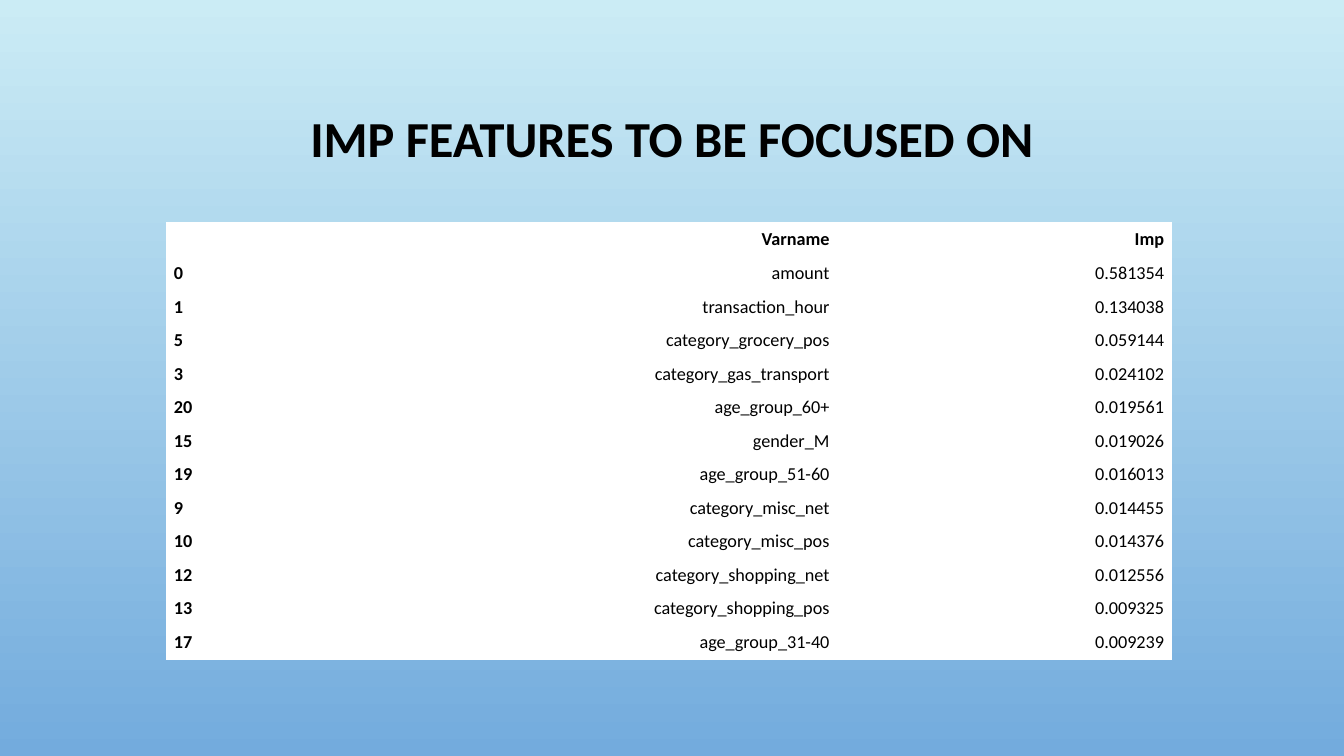
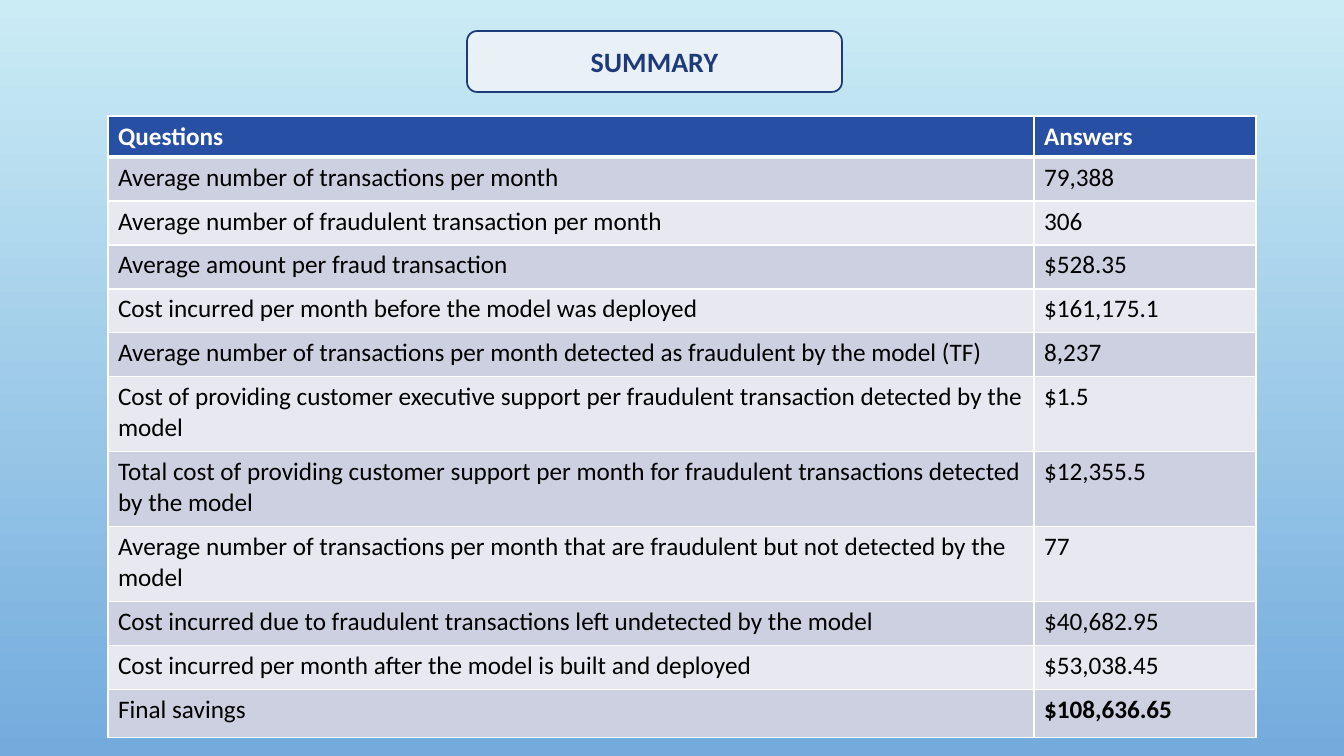
"""Build two slides on fraud features and the savings summary."""
from lxml.etree import SubElement
from pptx import Presentation
from pptx.dml.color import RGBColor
from pptx.enum.shapes import MSO_SHAPE
from pptx.enum.text import MSO_ANCHOR, PP_ALIGN
from pptx.oxml.ns import qn
from pptx.util import Pt

WIDE, HIGH = 1344, 756
SCALE = 12192000 / WIDE
FONT = "Calibri"
BLACK = RGBColor(0x00, 0x00, 0x00)
WHITE = RGBColor(0xFF, 0xFF, 0xFF)
SKY = RGBColor(0xCB, 0xEC, 0xF5)
BLUE = RGBColor(0x73, 0xAB, 0xDD)
HEAD = RGBColor(0x27, 0x4F, 0xA4)
BANDS = (RGBColor(0xE8, 0xE9, 0xF0), RGBColor(0xCD, 0xD0, 0xE0))
PALE = RGBColor(0xEA, 0xF1, 0xF6)
EDGE = RGBColor(0x1D, 0x3A, 0x79)
NAVY = RGBColor(0x1D, 0x3B, 0x7B)

FEATURES = [
    ("", "Varname", "Imp"),
    ("0", "amount", "0.581354"),
    ("1", "transaction_hour", "0.134038"),
    ("5", "category_grocery_pos", "0.059144"),
    ("3", "category_gas_transport", "0.024102"),
    ("20", "age_group_60+", "0.019561"),
    ("15", "gender_M", "0.019026"),
    ("19", "age_group_51-60", "0.016013"),
    ("9", "category_misc_net", "0.014455"),
    ("10", "category_misc_pos", "0.014376"),
    ("12", "category_shopping_net", "0.012556"),
    ("13", "category_shopping_pos", "0.009325"),
    ("17", "age_group_31-40", "0.009239"),
]
SUMMARY = [
    ("Questions", "Answers"),
    ("Average number of transactions per month", "79,388"),
    ("Average number of fraudulent transaction per month", "306"),
    ("Average amount per fraud transaction", "$528.35"),
    ("Cost incurred per month before the model was deployed", "$161,175.1"),
    ("Average number of transactions per month detected as fraudulent by the model (TF)", "8,237"),
    ("Cost of providing customer executive support per fraudulent transaction detected by the model", "$1.5"),
    ("Total cost of providing customer support per month for fraudulent transactions detected by the model",
     "$12,355.5"),
    ("Average number of transactions per month that are fraudulent but not detected by the model", "77"),
    ("Cost incurred due to fraudulent transactions left undetected by the model", "$40,682.95"),
    ("Cost incurred per month after the model is built and deployed", "$53,038.45"),
    ("Final savings", "$108,636.65"),
]


def px(size):
    """Turn pixels into EMU."""
    return round(size * SCALE)


def paint(master):
    """Give every slide the shared sky gradient."""
    fill = master.background.fill
    fill.gradient()
    fill.gradient_angle = 270
    for stop, place, tint in zip(fill.gradient_stops, (0, 1), (SKY, BLUE)):
        stop.position = place
        stop.color.rgb = tint


def write(frame, text, size, color=BLACK, bold=False, align=PP_ALIGN.LEFT):
    """Put one styled run in the first paragraph."""
    para = frame.paragraphs[0]
    para.alignment = align
    if not text:
        SubElement(para._p, qn("a:endParaRPr"), sz=str(size * 100))
        return
    run = para.add_run()
    run.text = text
    font = run.font
    font.name, font.size, font.bold = FONT, Pt(size), bold
    font.color.rgb = color


def title(slide, text):
    """Add a large centred title."""
    frame = slide.shapes.add_textbox(px(101), px(69), px(1142), px(144)).text_frame
    frame.word_wrap = True
    frame.vertical_anchor = MSO_ANCHOR.MIDDLE
    frame.paragraphs[0].line_spacing = 0.9
    write(frame, text, 36, bold=True, align=PP_ALIGN.CENTER)


def badge(slide, text):
    """Add a rounded heading box."""
    box = slide.shapes.add_shape(MSO_SHAPE.ROUNDED_RECTANGLE, px(467), px(31), px(375), px(61))
    box.shadow.inherit = False
    box.fill.solid()
    box.fill.fore_color.rgb = PALE
    box.line.color.rgb = EDGE
    box.line.width = Pt(1.25)
    box.text_frame.vertical_anchor = MSO_ANCHOR.MIDDLE
    write(box.text_frame, text, 20, NAVY, True, PP_ALIGN.CENTER)


def grid(slide, left, top, cols, rows):
    """Add a plain table with the given column widths and row heights."""
    table = slide.shapes.add_table(
        len(rows), len(cols), px(left), px(top), px(sum(cols)), px(sum(rows))).table
    table.first_row = table.horz_banding = False
    for col, width in zip(table.columns, cols):
        col.width = px(width)
    for row, height in zip(table.rows, rows):
        row.height = px(height)
    return table


def shade(cell, color):
    """Fill a cell with one colour."""
    cell.fill.solid()
    cell.fill.fore_color.rgb = color


def border(cell, top, bottom):
    """Draw white borders, with top and bottom widths in points."""
    props = cell._tc.get_or_add_tcPr()
    for side, width in (("L", 1), ("R", 1), ("T", top), ("B", bottom)):
        line = SubElement(props, qn("a:ln" + side), w=str(Pt(width)))
        SubElement(SubElement(line, qn("a:solidFill")), qn("a:srgbClr"), val=str(WHITE))


def features(slide):
    """Fill the table of feature weights."""
    count = len(FEATURES)
    table = grid(slide, 167, 223, [1004 / 3] * 3, [436 / count] * count)
    for r, row in enumerate(FEATURES):
        for c, text in enumerate(row):
            cell = table.cell(r, c)
            cell.margin_left = cell.margin_right = px(7)
            cell.margin_top = cell.margin_bottom = px(4)
            cell.vertical_anchor = MSO_ANCHOR.MIDDLE
            shade(cell, WHITE)
            write(cell.text_frame, text, 13, bold=r == 0 or c == 0,
                  align=PP_ALIGN.RIGHT if c else PP_ALIGN.LEFT)


def summary(slide):
    """Fill the banded table of questions and answers."""
    table = grid(slide, 108, 116, [926, 222], [41] + [44] * 5 + [75] * 3 + [44] * 2 + [48])
    last = len(SUMMARY) - 1
    for r, row in enumerate(SUMMARY):
        for c, text in enumerate(row):
            cell = table.cell(r, c)
            border(cell, 3 if r == 1 else 1, 3 if r == 0 else 1)
            shade(cell, BANDS[r % 2] if r else HEAD)
            write(cell.text_frame, text, 18, BLACK if r else WHITE,
                  r == 0 or (r == last and c == 1))


def main():
    """Build and save the deck."""
    deck = Presentation()
    deck.slide_width, deck.slide_height = px(WIDE), px(HIGH)
    paint(deck.slide_master)
    blank = deck.slide_layouts[6]
    slide = deck.slides.add_slide(blank)
    title(slide, "IMP FEATURES TO BE FOCUSED ON")
    features(slide)
    slide = deck.slides.add_slide(blank)
    summary(slide)
    badge(slide, "SUMMARY")
    deck.save("out.pptx")


if __name__ == "__main__":
    main()
